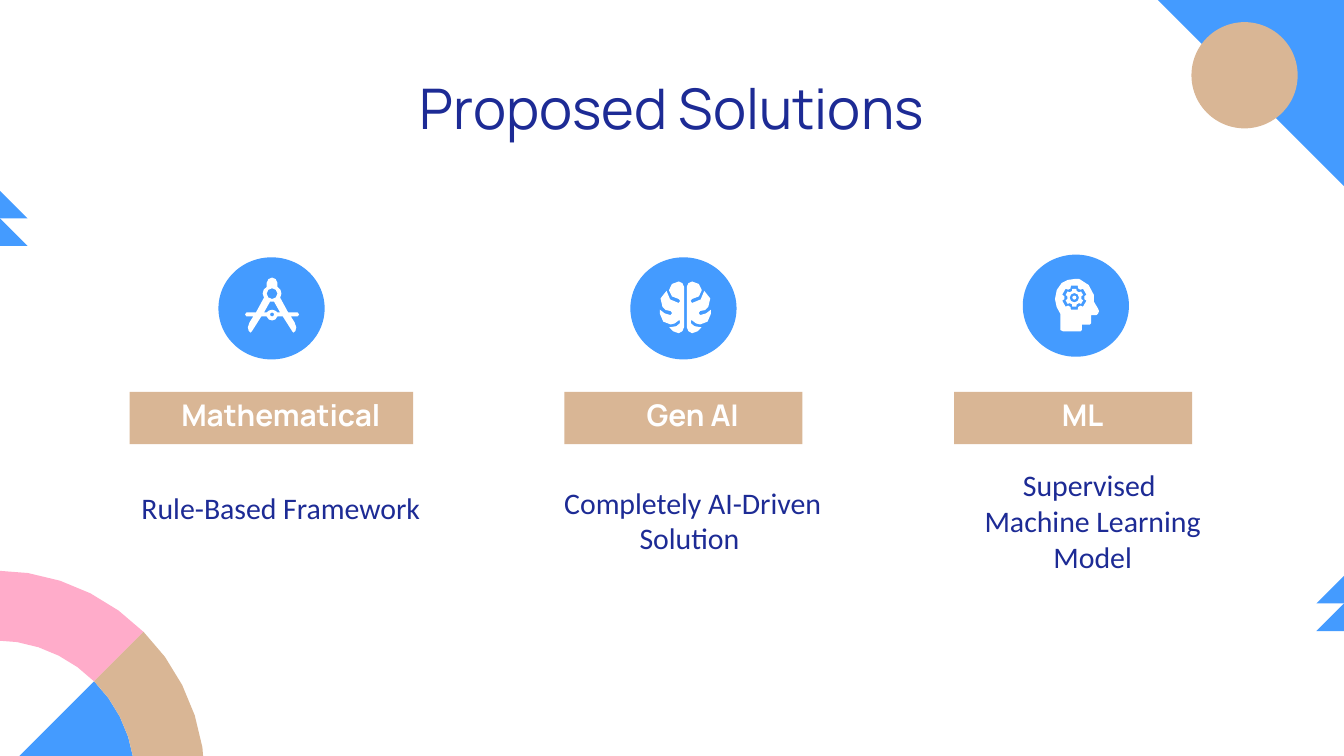
from collections import namedtuple
from math import cos, radians, sin

from pptx import Presentation
from pptx.dml.color import RGBColor
from pptx.enum.shapes import MSO_SHAPE as Preset
from pptx.enum.text import MSO_ANCHOR as Anchor, PP_ALIGN as Align
from pptx.util import Inches, Pt

BLUE = RGBColor(0x44, 0x9B, 0xFF)
TAN = RGBColor(0xD9, 0xB6, 0x95)
PINK = RGBColor(0xFF, 0xAC, 0xCA)
NAVY = RGBColor(0x1D, 0x2B, 0x95)
WHITE = RGBColor(0xFF, 0xFF, 0xFF)

# All lengths are cells of a grid with 1000 columns and 562.5 rows.
CELL = 0.01
COLUMNS, ROWS = 1000, 562.5

Box = namedtuple("Box", "left top width height")
Style = namedtuple("Style", "font size color bold spacing")
Solution = namedtuple("Solution", "disc band body heading lines icon")

TITLE = Style("Manrope", 30, NAVY, False, 1)
HEADING = Style("Manrope", 16, WHITE, True, 0.8)
BODY = Style("Calibri", 16, NAVY, False, 1)


def cells(count):
    return Inches(count * CELL)


def paint(shape, color):
    shape.shadow.inherit = False
    shape.fill.solid()
    shape.fill.fore_color.rgb = color
    shape.line.fill.background()


def add_preset(shapes, preset, box, color):
    shape = shapes.add_shape(preset, *map(cells, box))
    paint(shape, color)
    return shape


def add_outline(shapes, contours, color, origin=(0, 0)):
    """Draw closed contours, placed from origin, as one shape."""
    placed = [[(cells(origin[0] + x), cells(origin[1] + y)) for x, y in contour]
              for contour in contours]
    builder = shapes.build_freeform(*placed[0][0], scale=1.0)
    for index, contour in enumerate(placed):
        if index:
            builder.move_to(*contour[0])
        builder.add_line_segments(contour[1:], close=True)
    paint(builder.convert_to_shape(), color)


def flatten(start, *segments, steps=2):
    """Turn points (x, y) and cubic curves (six numbers) into a list of points."""
    points = [start]
    for segment in segments:
        if len(segment) == 2:
            points.append(segment)
            continue
        x0, y0 = points[-1]
        x1, y1, x2, y2, x3, y3 = segment
        for step in range(1, steps + 1):
            t = step / steps
            a, b, c, d = (1 - t) ** 3, 3 * t * (1 - t) ** 2, 3 * t * t * (1 - t), t ** 3
            points.append((a * x0 + b * x1 + c * x2 + d * x3,
                           a * y0 + b * y1 + c * y2 + d * y3))
    return points


def polar(center, radius, degrees):
    angle = radians(degrees)
    return center[0] + radius * cos(angle), center[1] - radius * sin(angle)


def arc(center, radius, start, end, steps=5):
    return [polar(center, radius, start + (end - start) * i / steps)
            for i in range(steps + 1)]


def ring(center, radius):
    return arc(center, radius, 0, 315, steps=7)


def mirrored(points):
    return [(-x, y) for x, y in reversed(points)]


def gear(center, tooth, valley, half_angle):
    return [polar(center, radius, middle + turn)
            for middle in range(30, 390, 60)
            for radius, turn in ((valley, -half_angle - 6), (tooth, -half_angle),
                                 (tooth, half_angle), (valley, half_angle + 6))]


def draw_compass(shapes, x, y):
    leg = flatten((0, 0), (2, 0, 4, 2, 4, 4), (4, 7), (6, 8, 7, 10, 7, 12),
                  (7, 13, 6, 14, 6, 15), (12, 26), (19, 26), (20.5, 26, 20.5, 29, 19, 29),
                  (14, 29), (16, 32, 18, 35, 18, 37), (18, 39, 17, 41, 16, 41),
                  (15, 40), (8, 29), (4, 29), (3, 31, 2, 32, 0, 32))
    gap = flatten((0, 18), (1.5, 18), (6, 26), (4, 26), (3, 25, 2, 24, 0, 24))
    contours = [leg + mirrored(leg), gap + mirrored(gap), ring((0, 12), 4), ring((0, 27.5), 1.5)]
    add_outline(shapes, contours, WHITE, (x + 0.5, y - 23))


def draw_brain(shapes, x, y):
    lobe = flatten((5, 0), (3, 0, 1, 2, 1, 4), (1, 34), (1, 36, 3, 38.5, 5, 38.5),
                   (8, 38.5, 11, 36, 12, 34), (11, 34), (8, 34, 5, 33, 4, 31),
                   (4, 29), (5, 29), (7, 31, 9, 32, 11, 32),
                   (15, 32, 19, 29, 19, 24), (19, 21), (17, 23, 14, 25, 11, 25),
                   (9.5, 25, 9.5, 22, 11, 22), (14, 22, 16, 21, 17, 19),
                   (20, 15, 19, 10, 14, 7), (14, 12, 10, 16, 5, 16),
                   (3.5, 16, 3.5, 13, 5, 13), (9, 13, 12, 10, 12, 7), (12, 6),
                   (12, 3, 9, 0, 5, 0))
    for half in (lobe, mirrored(lobe)):
        add_outline(shapes, [half], WHITE, (x + 1.5, y - 20))


def draw_head(shapes, x, y):
    hub = (0.4, 14)
    profile = flatten((1, 0), (-3, 0, -6, 1, -9, 3), (-12, 6, -14, 10, -14, 15),
                      (-14, 19, -12, 23, -10, 26), (-10, 38), (-8, 39),
                      (5, 39), (6, 38), (6, 34), (12, 34), (13, 33), (13, 27), (15, 27),
                      (16, 27, 18, 27, 18, 26), (19, 25, 19, 23, 18, 22), (15, 17), (15, 12),
                      (14, 6, 9, 2, 4, 0))
    for contours in ([profile, gear(hub, 9.3, 7.5, 16)],
                     [gear(hub, 6.8, 5.3, 13), ring(hub, 3.5)],
                     [ring(hub, 1.5)]):
        add_outline(shapes, contours, WHITE, (x - 1.5, y - 20))


def write(shape, lines, style, hanging=True):
    frame = shape.text_frame
    frame.word_wrap = True
    frame.vertical_anchor = Anchor.MIDDLE
    frame.margin_left = frame.margin_right = cells(10)
    frame.margin_top = frame.margin_bottom = cells(10)
    for index, line in enumerate(lines):
        paragraph = frame.add_paragraph() if index else frame.paragraphs[0]
        paragraph.alignment = Align.CENTER
        paragraph.line_spacing = style.spacing
        if hanging:
            properties = paragraph._p.get_or_add_pPr()
            properties.set("marL", str(cells(50)))
            properties.set("indent", str(-cells(36)))
        run = paragraph.add_run()
        run.text = line
        run.font.name = style.font
        run.font.size = Pt(style.size)
        run.font.bold = style.bold
        run.font.color.rgb = style.color


def draw_top_corner(shapes, box):
    left, top, width, height = box
    right = left + width
    add_outline(shapes, [[(left, top), (right, top), (right, top + height)]], BLUE)
    add_preset(shapes, Preset.OVAL, Box(left + 39.5, top + 31, 79, 79), TAN)


def draw_rainbow(shapes, center, inner, outer):
    """Draw a quarter ring in two halves, with a wedge inside the lower one."""
    add_outline(shapes, [[center] + arc(center, inner, 0, 45)], BLUE)
    for start, color in ((45, PINK), (0, TAN)):
        end = start + 45
        band = arc(center, outer, start, end) + arc(center, inner, end, start)
        add_outline(shapes, [band], color)


def draw_flags(shapes, edge, top, side):
    """Stack two triangles on a slide edge; a negative side points left."""
    size = abs(side)
    for y in (top, top + size):
        add_outline(shapes, [[(edge, y), (edge + side, y + size), (edge, y + size)]], BLUE)


def draw_solution(shapes, solution):
    disc = solution.disc
    add_preset(shapes, Preset.OVAL, disc, BLUE)
    solution.icon(shapes, disc.left + disc.width / 2, disc.top + disc.height / 2)
    band = add_preset(shapes, Preset.RECTANGLE, solution.band, TAN)
    write(band, [solution.heading], HEADING)
    write(shapes.add_textbox(*map(cells, solution.body)), solution.lines, BODY)


SOLUTIONS = [
    Solution(Box(162.5, 191.5, 79, 76), Box(96.5, 291.5, 211, 39), Box(80, 346, 244, 63),
             "Mathematical", ["Rule-Based Framework"], draw_compass),
    Solution(Box(469, 191.5, 79, 76), Box(420, 291.5, 177, 39), Box(386.5, 346, 244, 82),
             "Gen AI", ["Completely AI-Driven", "Solution "], draw_brain),
    Solution(Box(761, 189.5, 79, 76), Box(710, 291.5, 177, 39), Box(684, 347.5, 244, 80),
             "ML", ["Supervised ", "Machine Learning", "Model"], draw_head),
]


def main():
    deck = Presentation()
    deck.slide_width, deck.slide_height = cells(COLUMNS), cells(ROWS)
    shapes = deck.slides.add_slide(deck.slide_layouts[6]).shapes
    draw_top_corner(shapes, Box(847, -14.5, 156, 156))
    draw_rainbow(shapes, (-3.5, 580.5), 104, 156)
    draw_flags(shapes, 0, 142, 20.5)
    draw_flags(shapes, COLUMNS, 428.5, -20.5)
    for solution in SOLUTIONS:
        draw_solution(shapes, solution)
    title = shapes.add_textbox(*map(cells, Box(78, 48.5, 844, 63)))
    write(title, ["Proposed Solutions"], TITLE, hanging=False)
    deck.save("out.pptx")


if __name__ == "__main__":
    main()
